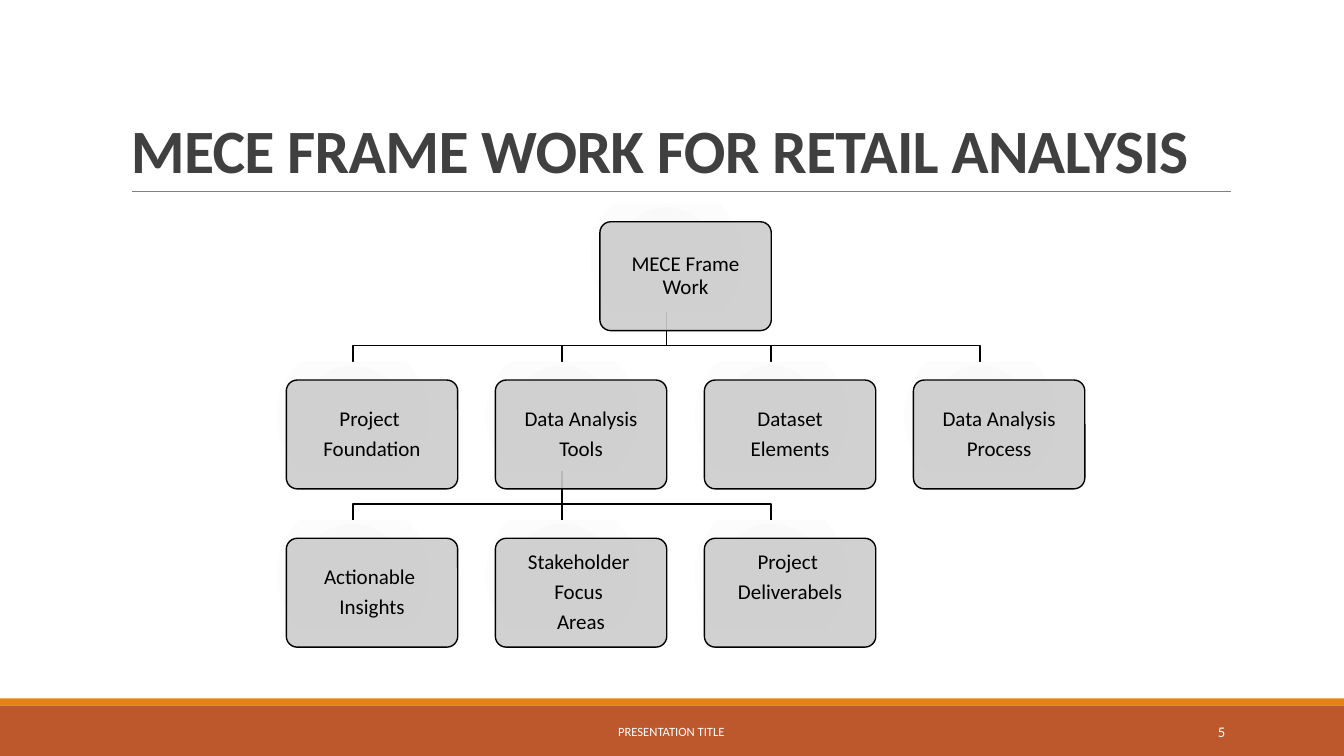
import pptx
import pptx.util
import pptx.dml.color
import pptx.enum.dml
import pptx.enum.shapes
import pptx.enum.text
import pptx.oxml
import pptx.oxml.ns

COLORS = {"bar": "BD582C", "strip": "E48312", "rule": "808080", "title": "404040",
          "white": "FFFFFF", "ink": "000000", "card": "CCCCCC",
          "glow": "F6F6F6"}
FONT = "Calibri"
WIDE, HIGH = 13.33, 7.5
ALIGN = pptx.enum.text.PP_ALIGN
ANCHOR = pptx.enum.text.MSO_ANCHOR
SHAPE = pptx.enum.shapes.MSO_SHAPE
inches = pptx.util.Inches

# Columns and rows of the tree; the shadow card sits up and left of its card
CARD_WIDE, CARD_HIGH = 1.7, 1.08
SHIFT_X, SHIFT_Y = 0.19, 0.18
LAST_COLUMN, LAST_ROW = 3, 2
BEND = 2 / 3  # where a branch turns, as a share of the row gap

# column, row, lines, blank space kept below the text
CARDS = [
    (1.5, 0, ["MECE Frame Work"], 0),
    (0, 1, ["Project ", "Foundation"], 0),
    (1, 1, ["Data Analysis", "Tools"], 0),
    (2, 1, ["Dataset", "Elements"], 0),
    (3, 1, ["Data Analysis", "Process"], 0),
    (0, 2, ["Actionable ", "Insights"], 0),
    (1, 2, ["Stakeholder ", "Focus ", "Areas"], 0),
    (2, 2, ["Project ", "Deliverabels"], 0.3),
]
# parent column, parent row, child columns
BRANCHES = [(1.5, 0, [3, 2, 1, 0]), (1, 1, [2, 1, 0])]


def color(name):
    return pptx.dml.color.RGBColor.from_string(COLORS[name])


def add_block(page, kind, box, fill=None):
    shape = page.shapes.add_shape(kind, *map(inches, box))
    shape.shadow.inherit = False
    shape.line.fill.background()
    if fill:
        shape.fill.solid()
        shape.fill.fore_color.rgb = color(fill)
    return shape


def style_line(shape, name, points):
    shape.line.color.rgb = color(name)
    shape.line.width = pptx.util.Pt(points)


def add_line(page, start, end, name, points):
    line = page.shapes.add_connector(pptx.enum.shapes.MSO_CONNECTOR.STRAIGHT,
                                     *map(inches, start + end))
    line._element.spPr.append(pptx.oxml.parse_xml(
        f'<a:effectLst {pptx.oxml.ns.nsdecls("a")}/>'))
    style_line(line, name, points)


def write(frame, lines, size, name, align, anchor, spacing=1.0, after=0):
    """Fill a text frame, one paragraph per line, and return the spans."""
    frame.word_wrap = True
    frame.vertical_anchor = anchor
    spans = []
    for index, words in enumerate(lines):
        para = frame.add_paragraph() if index else frame.paragraphs[0]
        para.alignment = align
        para.line_spacing = spacing
        para.space_after = pptx.util.Pt(after)
        span = para.add_run()
        span.text = words
        span.font.name = FONT
        span.font.size = pptx.util.Pt(size)
        span.font.color.rgb = color(name)
        spans.append(span)
    return spans


def draw_header(page, box):
    left, top, width, height = box
    bottom = top + height
    add_line(page, (left + 0.01 * width, bottom), (left + 1.001 * width, bottom), "rule", 0.5)
    title = page.shapes.add_textbox(*map(inches, box))
    span, = write(title.text_frame, ["MECE FRAME WORK FOR RETAIL ANALYSIS"], 44, "title",
                  ALIGN.LEFT, ANCHOR.BOTTOM, 0.85)
    span.font.bold = True
    span.font._element.set("spc", "-50")


def draw_footer(page, box):
    left, top, width, height = box
    strip = 0.12 * height
    add_block(page, SHAPE.RECTANGLE, (left, top + strip, width, height - strip), "bar")
    add_block(page, SHAPE.RECTANGLE, (left, top, width, strip), "strip")
    for share, span_share, words, size, align in [
            (0.302, 0.395, "PRESENTATION TITLE", 9, ALIGN.CENTER),
            (0.812, 0.107, "5", 10.5, ALIGN.RIGHT)]:
        label = page.shapes.add_textbox(*map(inches, (
            left + share * width, top + 0.23 * height, span_share * width, 0.7 * height)))
        write(label.text_frame, [words], size, "white", align, ANCHOR.MIDDLE)


def draw_branch(page, start, end):
    (x1, y1), (x2, y2) = start, end
    if x1 == x2:
        add_line(page, start, end, "ink", 1.25)
        return
    turn = y1 + BEND * (y2 - y1)
    outline = page.shapes.build_freeform(inches(x1), inches(y1))
    outline.add_line_segments([(inches(x), inches(y)) for x, y in
                               [(x1, turn), (x2, turn), (x2, y2)]], close=False)
    branch = outline.convert_to_shape()
    branch.shadow.inherit = False
    branch.fill.background()
    style_line(branch, "ink", 1.25)


def draw_card(page, left, top, lines, space_below):
    # Pale card behind, with a round gradient
    back = add_block(page, SHAPE.ROUNDED_RECTANGLE, (left, top, CARD_WIDE, CARD_HIGH))
    back.adjustments[0] = 0.1
    back.fill.gradient()
    for stop, name in zip(back.fill.gradient_stops, ["glow", "white"]):
        stop.color.rgb = color(name)
    linear = back._element.spPr.find(".//" + pptx.oxml.ns.qn("a:lin"))
    linear.getparent().replace(linear, pptx.oxml.parse_xml(
        f'<a:path {pptx.oxml.ns.nsdecls("a")} path="circle"><a:fillToRect '
        'l="100000" t="100000" r="100000" b="100000"/></a:path>'))

    # Grey card in front, slightly see-through, with the text
    card = add_block(page, SHAPE.ROUNDED_RECTANGLE,
                     (left + SHIFT_X, top + SHIFT_Y, CARD_WIDE, CARD_HIGH), "card")
    card.adjustments[0] = 0.1
    style_line(card, "ink", 1)
    tint = card._element.spPr.find(pptx.oxml.ns.qn("a:solidFill"))[0]
    tint.append(pptx.oxml.parse_xml(
        f'<a:alpha {pptx.oxml.ns.nsdecls("a")} val="90000"/>'))
    frame = card.text_frame
    frame.margin_left = frame.margin_right = frame.margin_top = inches(0.09)
    frame.margin_bottom = inches(0.09 + space_below)
    write(frame, lines, 15, "ink", ALIGN.CENTER, ANCHOR.MIDDLE, 0.9, 5.25)


def draw_tree(page, box):
    left, top, width, height = box
    column_step = (width - CARD_WIDE) / LAST_COLUMN
    row_step = (height - CARD_HIGH) / LAST_ROW

    def corner(column, row):
        return left + column * column_step, top + row * row_step

    for column, row, children in BRANCHES:
        x, y = corner(column, row)
        for child in children:
            child_x, child_y = corner(child, row + 1)
            draw_branch(page, (x + CARD_WIDE / 2, y + CARD_HIGH),
                        (child_x + CARD_WIDE / 2, child_y))
    for column, row, lines, space_below in CARDS:
        draw_card(page, *corner(column, row), lines, space_below)


deck = pptx.Presentation()
deck.slide_width, deck.slide_height = inches(WIDE), inches(HIGH)
page = deck.slides.add_slide(deck.slide_layouts[6])
draw_footer(page, (0, 0.924 * HIGH, WIDE, 0.076 * HIGH))
draw_header(page, (0.09 * WIDE, 0.31, 0.825 * WIDE, 1.59))
draw_tree(page, (2.65, 2.02, 7.92, 4.22))
deck.save("out.pptx")
